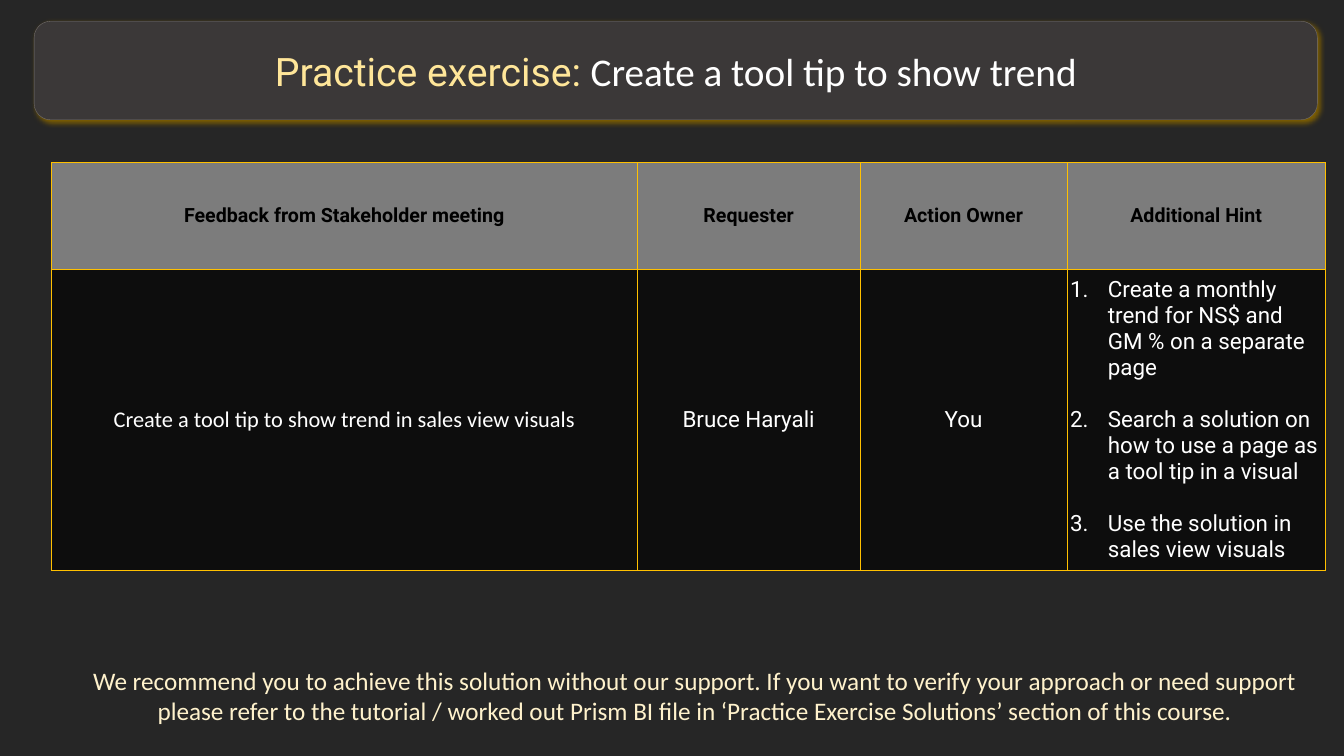
from dataclasses import dataclass

from lxml import etree
from pptx import Presentation
from pptx import util as u
from pptx.dml.color import RGBColor
from pptx.enum import shapes, text
from pptx.oxml import ns

Pt = u.Pt
CENTER, LEFT = text.PP_ALIGN.CENTER, text.PP_ALIGN.LEFT


@dataclass(frozen=True)
class Theme:
    background: str = "262626"
    banner: str = "3B3838"
    banner_line: str = "767171"
    shadow: str = "806000"
    border: str = "FFC000"
    head_fill: str = "7C7C7C"
    body_fill: str = "0D0D0D"
    dark: str = "000000"
    light: str = "FFFFFF"
    accent: str = "FFE699"
    note: str = "FFF2CC"
    title_size: int = 28
    note_size: int = 18
    body_size: int = 16
    head_size: int = 14
    main_font: str = "Roboto"
    alt_font: str = "Calibri"


T = Theme()


def rgb(value):
    return RGBColor.from_string(value)


def fill(obj, color):
    obj.fill.solid()
    obj.fill.fore_color.rgb = rgb(color)


def child(parent, tag, **attrs):
    return etree.SubElement(parent, ns.qn(tag), {k: str(v) for k, v in attrs.items()})


def write(p, content, size=T.body_size, font=T.main_font, color=T.light,
          bold=False, align=CENTER):
    """Add a formatted run to a paragraph."""
    p.alignment = align
    r = p.add_run()
    r.text = content
    r.font.size, r.font.name, r.font.bold = Pt(size), font, bold
    r.font.color.rgb = rgb(color)


# Title banner with a golden shadow
def banner(slide, x, y, w, h, label, title):
    sp = slide.shapes.add_shape(shapes.MSO_SHAPE.ROUNDED_RECTANGLE,
                                Pt(x), Pt(y), Pt(w), Pt(h))
    fill(sp, T.banner)
    sp.line.color.rgb = rgb(T.banner_line)
    sp.line.width = Pt(0.25)
    sp.shadow.inherit = False
    effects = sp._element.spPr.find(ns.qn("a:effectLst"))
    shadow = child(effects, "a:outerShdw", blurRad=Pt(4), dist=Pt(2),
                   dir=51 * 60000, algn="tl", rotWithShape=0)
    child(shadow, "a:srgbClr", val=T.shadow)
    tf = sp.text_frame
    tf.word_wrap = True
    tf.vertical_anchor = text.MSO_ANCHOR.MIDDLE
    p = tf.paragraphs[0]
    write(p, label, size=T.title_size, color=T.accent)
    write(p, title, size=T.title_size, font=T.alt_font)


def style_cell(cell, color):
    cell.vertical_anchor = text.MSO_ANCHOR.MIDDLE
    cell.margin_left = cell.margin_right = Pt(2.2)
    cell.margin_top = cell.margin_bottom = Pt(1.4)
    tcPr = cell._tc.get_or_add_tcPr()
    for side in "LRTB":
        ln = child(tcPr, f"a:ln{side}", w=Pt(0.5))
        child(child(ln, "a:solidFill"), "a:srgbClr", val=T.border)
    fill(cell, color)


def number_steps(tf, steps):
    for i, step in enumerate(steps):
        p = tf.paragraphs[0] if i == 0 else tf.add_paragraph()
        write(p, step, align=LEFT)
        if i < len(steps) - 1:
            p.space_after = Pt(18.75)
        pPr = p._p.get_or_add_pPr()
        pPr.set("marL", str(Pt(27)))
        pPr.set("indent", str(-Pt(27)))
        child(pPr, "a:buFont", typeface="+mj-lt")
        child(pPr, "a:buAutoNum", type="arabicPeriod")


# Feedback table: heading row, one request, numbered hints
def feedback_table(slide, x, y, widths, heights, heads, request, hints):
    table = slide.shapes.add_table(2, len(widths), Pt(x), Pt(y),
                                   Pt(sum(widths)), Pt(sum(heights))).table
    for row, height in zip(table.rows, heights):
        row.height = Pt(height)
    for c, (width, head) in enumerate(zip(widths, heads)):
        table.columns[c].width = Pt(width)
        top, body = table.cell(0, c), table.cell(1, c)
        style_cell(top, T.head_fill)
        style_cell(body, T.body_fill)
        write(top.text_frame.paragraphs[0], head, size=T.head_size,
              color=T.dark, bold=True)
        if c < len(request):
            write(body.text_frame.paragraphs[0], request[c],
                  font=T.main_font if c else T.alt_font)
        else:
            number_steps(body.text_frame, hints)


# Closing note
def closing_note(slide, x, y, w, h, content):
    tf = slide.shapes.add_textbox(Pt(x), Pt(y), Pt(w), Pt(h)).text_frame
    tf.word_wrap = True
    write(tf.paragraphs[0], content, size=T.note_size, font=T.alt_font, color=T.note)


def main():
    prs = Presentation()
    prs.slide_width, prs.slide_height = Pt(960), Pt(540)
    slide = prs.slides.add_slide(prs.slide_layouts[6])
    fill(slide.background, T.background)

    feedback_table(
        slide, 36.8, 116, (418.4, 159.2, 147.8, 184.6), (76.4, 214.8),
        ("Feedback from Stakeholder meeting", "Requester", "Action Owner",
         "Additional Hint"),
        ("Create a tool tip to show trend in sales view visuals",
         "Bruce Haryali", "You"),
        ("Create a monthly trend for NS$ and GM % on a separate page",
         "Search a solution on how to use a page as a tool tip in a visual",
         "Use the solution in sales view visuals"))
    banner(slide, 24.4, 15.2, 916.6, 70.4,
           "Practice exercise: ", "Create a tool tip to show trend")
    closing_note(
        slide, 46.8, 471.6, 899.2, 72.6,
        "We recommend you to achieve this solution without our support. "
        "If you want to verify your approach or need support please refer to "
        "the tutorial / worked out Prism BI file in ‘Practice Exercise "
        "Solutions’ section of this course.")
    prs.save("out.pptx")


if __name__ == "__main__":
    main()
